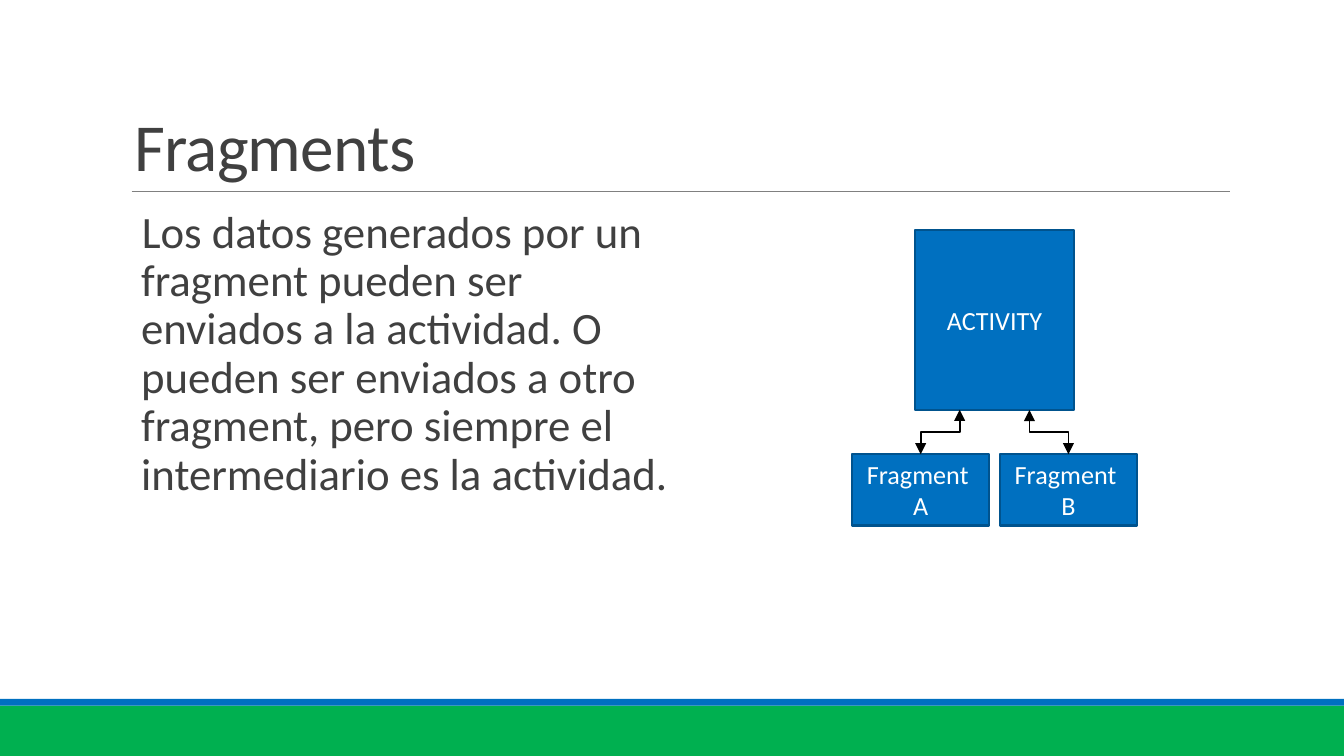
from dataclasses import dataclass

from lxml import etree
from pptx import Presentation
from pptx import util as u
from pptx.dml.color import RGBColor
from pptx.enum import shapes, text
from pptx.oxml.ns import qn

CELL = 0.1
COLUMNS, ROWS = 100, 56.25
FONT = "Calibri"
GREEN, BLUE, NAVY = "00B050", "0070C0", "00538E"
INK, GRAY, BLACK, WHITE = "404040", "808080", "000000", "FFFFFF"


@dataclass(frozen=True)
class Area:
    column: float
    row: float
    columns: float
    rows: float

    @property
    def middle(self) -> float:
        return self.column + self.columns / 2

    @property
    def bottom(self) -> float:
        return self.row + self.rows

    def lengths(self) -> tuple:
        return tuple(map(grid, (self.column, self.row, self.columns, self.rows)))


@dataclass(frozen=True)
class Block:
    area: Area
    lines: tuple


@dataclass(frozen=True)
class Passage:
    area: Area
    wording: str
    size: float
    frame_format: dict
    paragraph_format: dict
    run_attributes: dict


def grid(cells: float) -> int:
    return u.Inches(cells * CELL)


def color(value: str) -> RGBColor:
    return RGBColor.from_string(value)


def apply(target, values: dict) -> None:
    for key, value in values.items():
        setattr(target, key, value)


def write(paragraph, wording: str, size: float, ink: str):
    run = paragraph.add_run()
    run.text = wording
    apply(run.font, {"name": FONT, "size": u.Pt(size)})
    run.font.color.rgb = color(ink)
    return run


def draw_rectangle(slide, area: Area, fill: str):
    rectangle = slide.shapes.add_shape(shapes.MSO_SHAPE.RECTANGLE, *area.lengths())
    rectangle.shadow.inherit = False
    rectangle.fill.solid()
    rectangle.fill.fore_color.rgb = color(fill)
    rectangle.line.fill.background()
    return rectangle


def draw_block(slide, block: Block) -> None:
    rectangle = draw_rectangle(slide, block.area, BLUE)
    rectangle.line.color.rgb = color(NAVY)
    rectangle.line.width = u.Pt(1.25)
    frame = rectangle.text_frame
    apply(frame, {"word_wrap": True, "vertical_anchor": text.MSO_ANCHOR.MIDDLE})
    for index, wording in enumerate(block.lines):
        paragraph = frame.add_paragraph() if index else frame.paragraphs[0]
        paragraph.alignment = text.PP_ALIGN.CENTER
        write(paragraph, wording, 14, WHITE)


def draw_passage(slide, passage: Passage):
    frame = slide.shapes.add_textbox(*passage.area.lengths()).text_frame
    frame.word_wrap = True
    apply(frame, passage.frame_format)
    paragraph = frame.paragraphs[0]
    apply(paragraph, passage.paragraph_format)
    run = write(paragraph, passage.wording, passage.size, INK)
    for key, value in passage.run_attributes.items():
        run.font._element.set(key, value)
    return paragraph


def add_blank_bullet(paragraph) -> None:
    properties = paragraph._p.get_or_add_pPr()
    properties.set("marL", str(u.Inches(0.07)))
    properties.set("indent", str(u.Inches(-0.07)))
    tint = etree.SubElement(properties, qn("a:buClr"))
    etree.SubElement(tint, qn("a:srgbClr"), val=BLUE)
    etree.SubElement(properties, qn("a:buFont"), typeface=FONT)
    etree.SubElement(properties, qn("a:buChar"), char=" ")


def draw_connector(slide, kind, start: tuple, end: tuple, ink: str, width: float):
    connector = slide.shapes.add_connector(kind, *map(grid, (*start, *end)))
    connector.line.color.rgb = color(ink)
    connector.line.width = u.Pt(width)
    etree.SubElement(connector._element.spPr, qn("a:effectLst"))
    return connector


def draw_exchange(slide, start: tuple, end: tuple) -> None:
    center_x, center_y = ((a + b) / 2 for a, b in zip(start, end))
    across, down = start[0] - center_x, start[1] - center_y
    connector = draw_connector(
        slide, shapes.MSO_CONNECTOR.ELBOW,
        (center_x + down, center_y - across),
        (center_x - down, center_y + across), BLACK, 1)
    connector._element.spPr.find(qn("a:xfrm")).set("rot", str(90 * 60000))
    outline = connector.line._get_or_add_ln()
    for tip in ("a:headEnd", "a:tailEnd"):
        etree.SubElement(outline, qn(tip), type="triangle")


def main() -> None:
    deck = Presentation()
    deck.slide_width, deck.slide_height = grid(COLUMNS), grid(ROWS)
    slide = deck.slides.add_slide(deck.slide_layouts[6])

    footer_row = 52.5
    draw_rectangle(slide, Area(0, footer_row, COLUMNS, ROWS - footer_row), GREEN)
    draw_rectangle(slide, Area(0, footer_row - 0.5, COLUMNS, 0.5), BLUE)
    draw_connector(slide, shapes.MSO_CONNECTOR.STRAIGHT,
                   (9.8, 14.25), (91.5, 14.25), GRAY, 0.5)

    heading = Passage(
        Area(9, 2.4, 82.5, 11.9), "Fragments", 36,
        {"vertical_anchor": text.MSO_ANCHOR.BOTTOM},
        {"line_spacing": 0.85}, {"spc": "-40"})
    explanation = Passage(
        Area(9.8, 15.1, 40.2, 33),
        "Los datos generados por un fragment pueden ser enviados a la actividad. "
        "O pueden ser enviados a otro fragment, pero siempre el intermediario "
        "es la actividad.", 24,
        {"margin_left": 0, "margin_right": 0},
        {"line_spacing": 0.9, "space_before": u.Pt(9), "space_after": u.Pt(1.5)}, {})
    draw_passage(slide, heading)
    add_blank_bullet(draw_passage(slide, explanation))

    activity = Block(Area(68.1, 17.1, 11.8, 13.4), ("ACTIVITY",))
    fragments = [
        Block(Area(63.4 + 11 * index, 33.8, 10.2, 5.3), ("Fragment ", letter))
        for index, letter in enumerate("AB")
    ]
    for block in (activity, *fragments):
        draw_block(slide, block)
    for fragment, offset in zip(fragments, (-2.6, 2.6)):
        draw_exchange(slide, (fragment.area.middle, fragment.area.row),
                      (activity.area.middle + offset, activity.area.bottom))

    deck.save("out.pptx")


if __name__ == "__main__":
    main()
